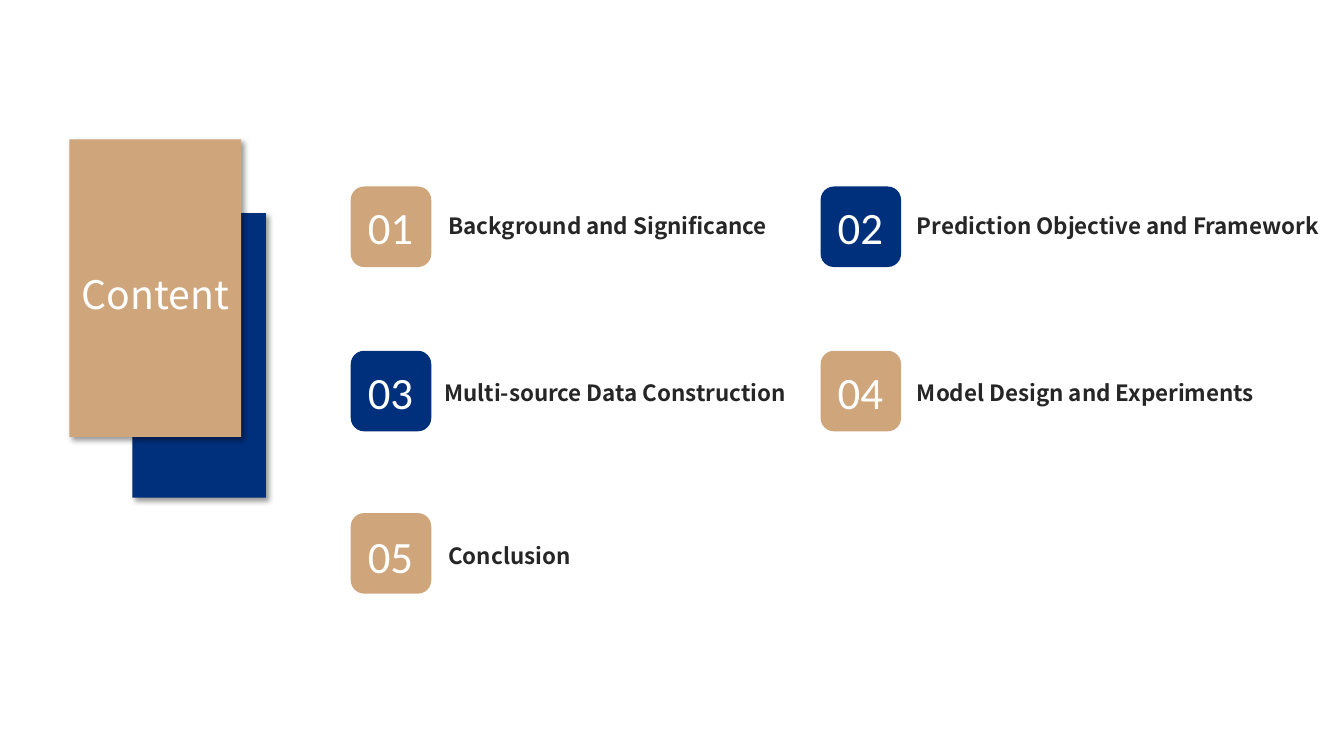
from lxml.etree import SubElement
from pptx import Presentation
from pptx.dml.color import RGBColor
from pptx.enum.shapes import MSO_SHAPE
from pptx.enum.text import MSO_AUTO_SIZE, PP_ALIGN
from pptx.oxml.ns import qn
from pptx.util import Cm, Pt

COLORS = {"tan": "CFA57C", "navy": "002F7C", "white": "FFFFFF", "ink": "262626"}

BADGE_SIZE = 2.03
COLUMN_LEFTS = (8.84, 20.68)
ROW_TOPS = (4.7, 8.84, 12.93)
NUMBER_DROPS = (0.2, 0.23, 0.28)
LABEL_DROPS = (0.53, 0.6, 0.61)

TOPICS = (
    ("Background and Significance", "tan", 11.05, 8.99, False),
    ("Prediction Objective and Framework", "navy", 22.86, 12.07, True),
    ("Multi-source Data Construction", "navy", 10.95, 10.01, True),
    ("Model Design and Experiments", "tan", 22.86, 9.5, False),
    ("Conclusion", "tan", 11.05, 3.66, False),
)


class SlideBuilder:
    fonts = {
        "number": {"name": "Calibri", "size": Pt(32)},
        "label": {"name": "Noto Sans CJK SC", "size": Pt(16), "bold": True},
        "title": {"name": "Noto Sans CJK SC", "size": Pt(28)},
    }
    text_colors = {"number": "white", "label": "ink", "title": "white"}

    def __init__(self, slide):
        self.slide = slide

    def color(self, name):
        return RGBColor.from_string(COLORS[name])

    def block(self, kind, left, top, width, height, color):
        shape = self.slide.shapes.add_shape(
            kind, Cm(left), Cm(top), Cm(width), Cm(height)
        )
        shape.shadow.inherit = False
        shape.fill.solid()
        shape.fill.fore_color.rgb = self.color(color)
        shape.line.fill.background()
        return shape

    def panel(self, left, top, width, height, color):
        shape = self.block(MSO_SHAPE.RECTANGLE, left, top, width, height, color)
        effects = shape._element.spPr.find(qn("a:effectLst"))
        shadow = SubElement(
            effects, qn("a:outerShdw"), blurRad=str(Pt(4)), dist=str(Pt(3)),
            dir="2700000", algn="tl", rotWithShape="0",
        )
        tint = SubElement(shadow, qn("a:srgbClr"), val="000000")
        SubElement(tint, qn("a:alpha"), val="40000")

    def badge(self, left, top, color):
        self.block(
            MSO_SHAPE.ROUNDED_RECTANGLE, left, top, BADGE_SIZE, BADGE_SIZE, color
        )

    def text(self, words, style, left, top, width, height,
             wrap=False, alignment=PP_ALIGN.LEFT):
        shape = self.slide.shapes.add_textbox(
            Cm(left), Cm(top), Cm(width), Cm(height)
        )
        frame = shape.text_frame
        frame.word_wrap = wrap
        frame.auto_size = MSO_AUTO_SIZE.SHAPE_TO_FIT_TEXT
        paragraph = frame.paragraphs[0]
        paragraph.alignment = alignment
        run = paragraph.add_run()
        run.text = words
        for attribute, value in self.fonts[style].items():
            setattr(run.font, attribute, value)
        run.font.color.rgb = self.color(self.text_colors[style])
        properties = run._r.get_or_add_rPr()
        SubElement(properties, qn("a:ea"), typeface=self.fonts[style]["name"])


def main():
    presentation = Presentation()
    presentation.slide_width = Cm(33.87)
    presentation.slide_height = Cm(19.05)
    slide = presentation.slides.add_slide(presentation.slide_layouts[6])
    builder = SlideBuilder(slide)

    for index, (topic, color, label_left, label_width, wrap) in enumerate(TOPICS):
        row, column = divmod(index, 2)
        left, top = COLUMN_LEFTS[column], ROW_TOPS[row]
        builder.badge(left, top, color)
        builder.text(f"{index + 1:02}", "number",
                     left + 0.18, top + NUMBER_DROPS[row], 1.67, 1.62)
        builder.text(topic, "label", label_left, top + LABEL_DROPS[row],
                     label_width, 0.94, wrap)

    builder.panel(3.34, 5.37, 3.36, 7.17, "navy")
    builder.panel(1.75, 3.51, 4.33, 7.5, "tan")
    builder.text("Content", "title", 1.75, 6.68, 4.33, 1.45, True, PP_ALIGN.CENTER)

    presentation.save("out.pptx")


if __name__ == "__main__":
    main()
